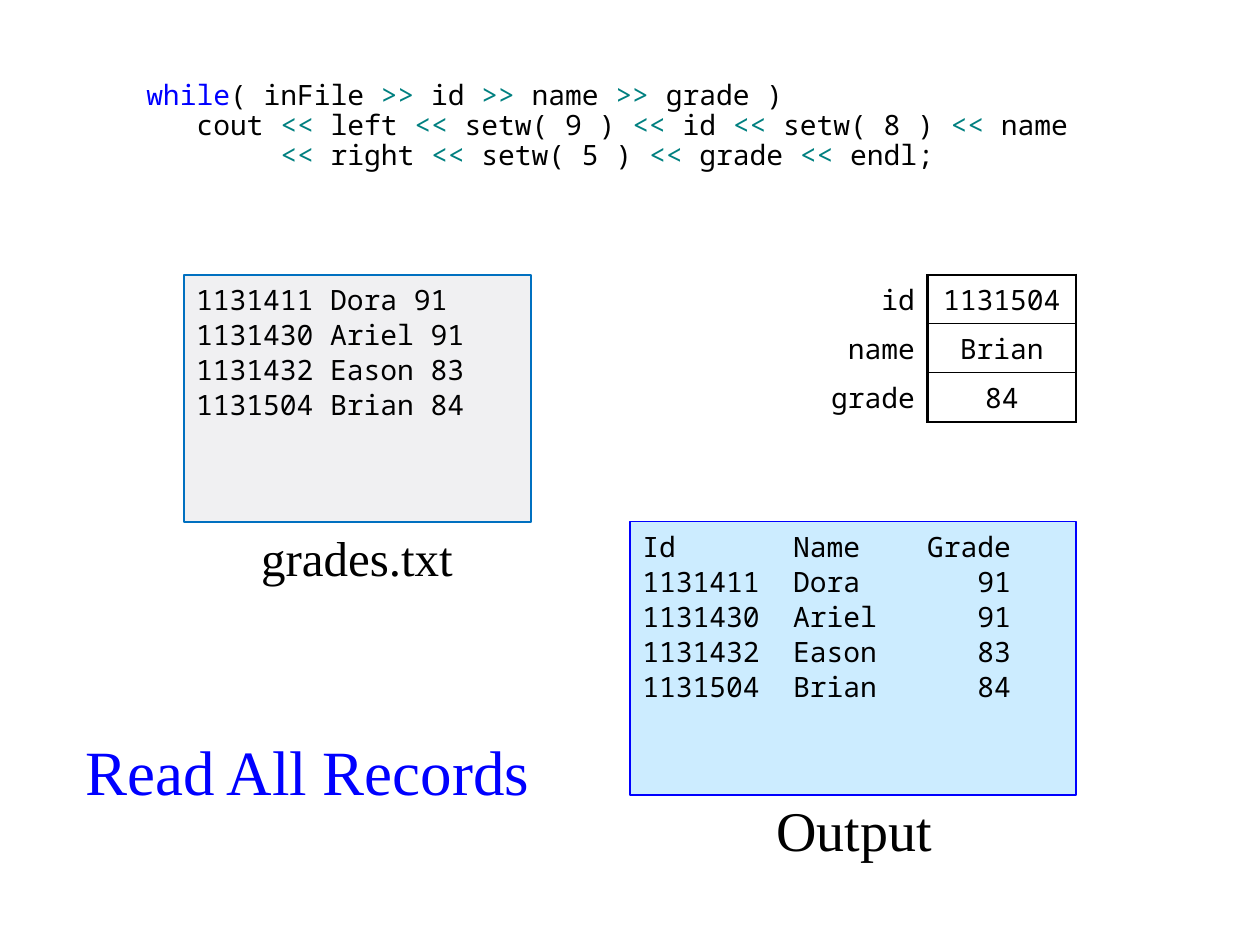
import pptx
import pptx.util
import pptx.dml.color
import pptx.enum.shapes
import pptx.enum.text
import pptx.oxml
import pptx.oxml.ns

Pt = pptx.util.Pt
ALIGN = pptx.enum.text.PP_ALIGN
ANCHOR = pptx.enum.text.MSO_ANCHOR
COLORS = {
    "text": "000000", "keyword": "0000FF", "operator": "008080",
    "file_fill": "F0F0F2", "file_line": "0070C0",
    "output_fill": "CCECFF", "output_line": "0000FF",
}
MONO = {"name": "Noto Sans Mono", "size": Pt(16), "bold": False}


def color(name):
    return pptx.dml.color.RGBColor.from_string(COLORS[name])


def write(para, text, font, ink="text", **layout):
    span = para.add_run()
    span.text = text
    for key, value in font.items():
        setattr(span.font, key, value)
    span.font.color.rgb = color(ink)
    for key, value in layout.items():
        setattr(para, key, value)


deck = pptx.Presentation()
deck.slide_width, deck.slide_height = Pt(720), Pt(540)
page = deck.slides.add_slide(deck.slide_layouts[6])

labels = [
    ("Read All Records", (34, 397.5, 283.5, 85), 36, "keyword", 3.6, ANCHOR.MIDDLE),
    ("grades.txt", (133, 298, 142, 42.5), 28, "text", 3.6, ANCHOR.TOP),
    ("Output", (417, 454.5, 142, 42.5), 32, "text", 0, ANCHOR.TOP),
]
for text, place, size, ink, top, anchor in labels:
    box = page.shapes.add_textbox(*map(Pt, place))
    frame = box.text_frame
    for key, value in {"word_wrap": False, "margin_top": Pt(top), "vertical_anchor": anchor}.items():
        setattr(frame, key, value)
    font = {"name": "Times New Roman", "size": Pt(size)}
    write(frame.paragraphs[0], text, font, ink, alignment=ALIGN.CENTER)

code = [
    "while|( inFile |>>| id |>>| name |>>| grade )",
    "   cout |<<| left |<< |setw( 9 ) |<<| id |<< |setw( 8 ) |<<| name",
    "        |<<| right |<< |setw( 5 ) |<<| grade |<<| endl;",
]
inks = {"while": "keyword", "<<": "operator", ">>": "operator"}
box = page.shapes.add_textbox(Pt(76.5), Pt(43), Pt(566.5), Pt(70.5))
box.text_frame.word_wrap = True
for index, line in enumerate(code):
    para = box.text_frame.add_paragraph() if index else box.text_frame.paragraphs[0]
    for token in line.split("|"):
        write(para, token, MONO, inks.get(token.strip(), "text"), line_spacing=0.89)

records = [("1131411", "Dora", 91), ("1131430", "Ariel", 91),
           ("1131432", "Eason", 83), ("1131504", "Brian", 84)]
file_lines = [f"{number} {name} {grade}" for number, name, grade in records]
output_lines = [f"{number:<9}{name:<8}{grade:>5}"
                for number, name, grade in [("Id", "Name", "Grade"), *records]]
panels = [
    ("file", (105, 157, 198.5, 141.5), file_lines),
    ("output", (360, 298, 255, 156.5), output_lines),
]
for kind, place, lines in panels:
    panel = page.shapes.add_shape(pptx.enum.shapes.MSO_SHAPE.RECTANGLE, *map(Pt, place))
    panel.shadow.inherit = False
    panel.fill.solid()
    panel.fill.fore_color.rgb = color(kind + "_fill")
    panel.line.color.rgb = color(kind + "_line")
    panel.line.width = Pt(1)
    frame = panel.text_frame
    frame.vertical_anchor = ANCHOR.TOP
    for side in ("left", "top", "right", "bottom"):
        setattr(frame, "margin_" + side, Pt(7.2))
    for index, line in enumerate(lines):
        para = frame.add_paragraph() if index else frame.paragraphs[0]
        write(para, line, MONO, alignment=ALIGN.LEFT, line_spacing=0.88,
              space_before=Pt(3 if index else 0))

variables = list(zip(("id", "name", "grade"), records[-1]))
table = page.shapes.add_table(3, 2, Pt(459.5), Pt(157), Pt(155.5), Pt(84)).table
table.first_row = table.horz_banding = False
for column, width in zip(table.columns, (70.5, 85)):
    column.width = Pt(width)
for row, values in enumerate(variables):
    table.rows[row].height = Pt(28)
    value_edges = {"L": 1.5, "R": 1.5, "T": 0.75 if row else 1.5, "B": 0.75 if row < 2 else 1.5}
    for column, edges in enumerate(({"R": 1.5}, value_edges)):
        cell = table.cell(row, column)
        properties = cell._tc.get_or_add_tcPr()
        for side, width in edges.items():
            properties.append(pptx.oxml.parse_xml(
                f'<a:ln{side} {pptx.oxml.ns.nsdecls("a")} w="{Pt(width)}"><a:solidFill>'
                f'<a:srgbClr val="{COLORS["text"]}"/></a:solidFill></a:ln{side}>'))
        cell.fill.background()
        cell.vertical_anchor = ANCHOR.MIDDLE
        write(cell.text_frame.paragraphs[0], str(values[column]), MONO,
              alignment=(ALIGN.RIGHT, ALIGN.CENTER)[column])

deck.save("out.pptx")
